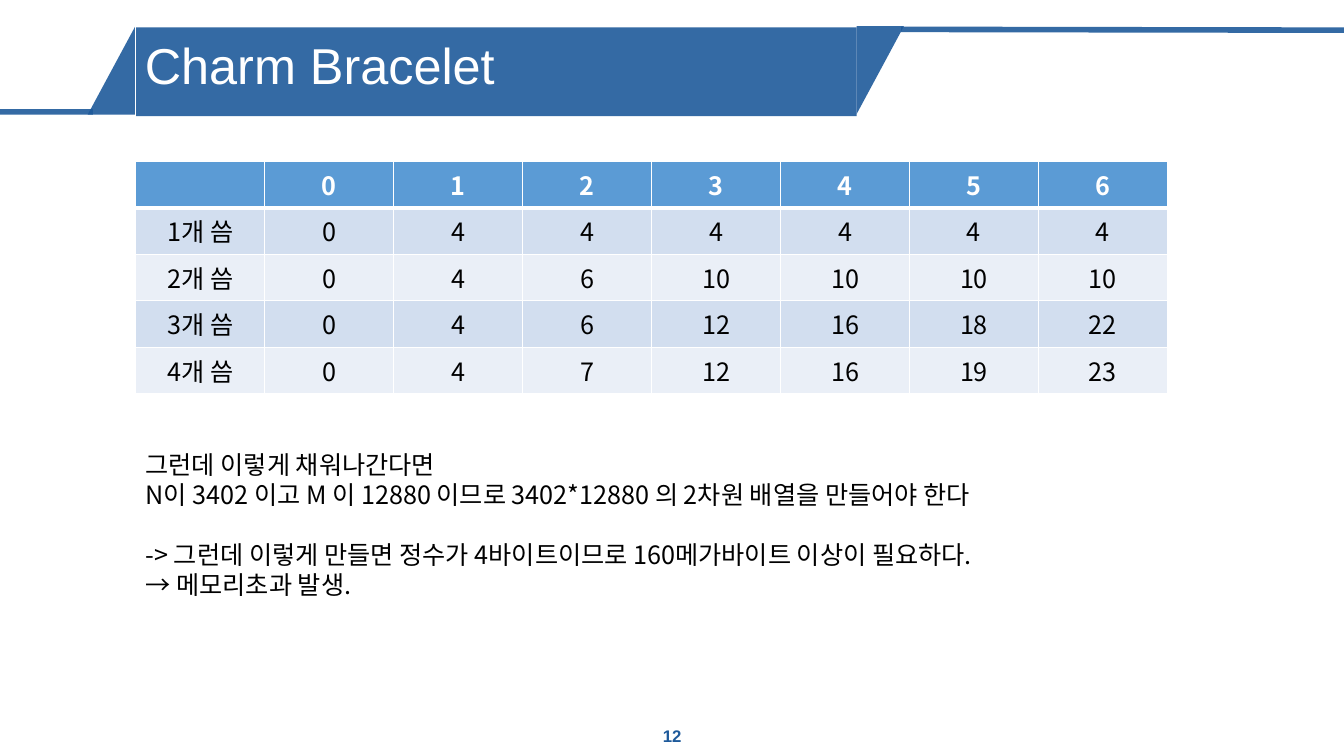
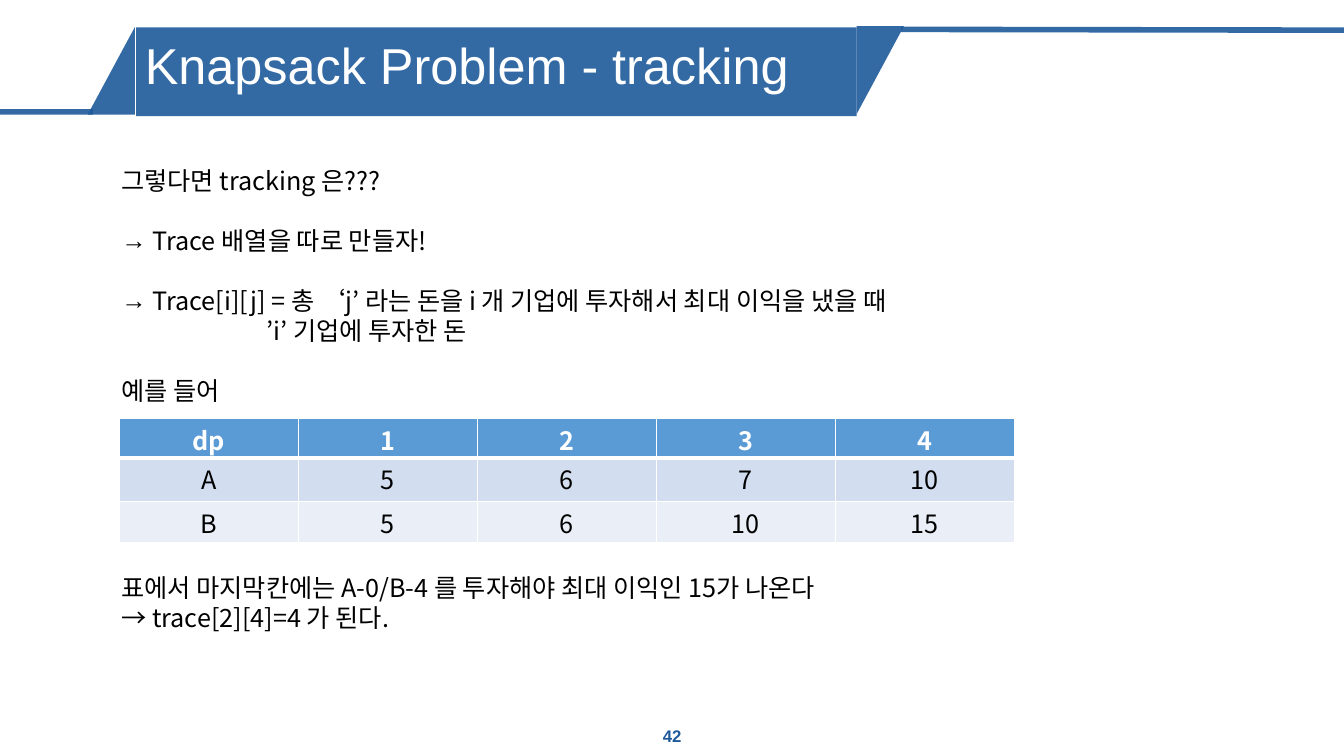
import dataclasses

import lxml.etree
import pptx
import pptx.dml.color
import pptx.enum.shapes
import pptx.enum.text
import pptx.oxml.ns
import pptx.util

Cm = pptx.util.Cm
Pt = pptx.util.Pt
RGBColor = pptx.dml.color.RGBColor
SHAPES = pptx.enum.shapes.MSO_SHAPE
ALIGN = pptx.enum.text.PP_ALIGN
ANCHOR = pptx.enum.text.MSO_ANCHOR

NAVY = RGBColor(0x1E, 0x5A, 0x9B)
HEADER_BLUE = RGBColor(0x5B, 0x9B, 0xD5)
BAND_DARK = RGBColor(0xD2, 0xDE, 0xEF)
BAND_LIGHT = RGBColor(0xEA, 0xEF, 0xF7)
WHITE = RGBColor(0xFF, 0xFF, 0xFF)
BLACK = RGBColor(0x00, 0x00, 0x00)

HEADING_FONT = "Arial"
BODY_FONT = "Noto Sans CJK KR"
LINE_PITCH = Pt(21.5)


@dataclasses.dataclass
class Line:
    text: str
    gap: bool = False
    indent: float = 0
    bullet: str = ""


def add_element(parent, tag, **attributes):
    return lxml.etree.SubElement(parent, pptx.oxml.ns.qn(tag), attributes)


class Deck:
    def __init__(self):
        self.presentation = pptx.Presentation()
        self.presentation.slide_width = Cm(33.87)
        self.presentation.slide_height = Cm(19.05)
        self.slide = None

    def start_slide(self, title, number):
        layout = self.presentation.slide_layouts[6]
        self.slide = self.presentation.slides.add_slide(layout)
        self.banner_shape(SHAPES.RIGHT_TRIANGLE, 21.08, 1.17, 2.21, 1.19, 90)
        self.banner_line(2.34, 2.82, -0.08, 2.82)
        self.banner_shape(SHAPES.RIGHT_TRIANGLE, 1.7, 1.19, 2.21, 1.19, 270)
        self.banner_line(33.87, 0.76, 22.71, 0.74)
        self.banner_shape(SHAPES.RECTANGLE, 3.43, 0.69, 18.16, 2.24)
        self.label(number, 13.13, 18.03, 7.62, 1.02, 12, NAVY, True, ALIGN.CENTER)
        heading = self.label(title, 3.4, 0.69, 18.16, 2.06, 36, WHITE)
        heading.line_spacing = 0.9

    def make_translucent(self, shape):
        for color in shape._element.spPr.iter(pptx.oxml.ns.qn("a:srgbClr")):
            add_element(color, "a:alpha", val="90000")

    def banner_shape(self, kind, left, top, width, height, rotation=0):
        shape = self.slide.shapes.add_shape(
            kind, Cm(left), Cm(top), Cm(width), Cm(height))
        shape.rotation = rotation
        shape.shadow.inherit = False
        shape.fill.solid()
        shape.fill.fore_color.rgb = NAVY
        shape.line.fill.background()
        self.make_translucent(shape)

    def banner_line(self, x1, y1, x2, y2):
        rule = self.slide.shapes.add_connector(
            pptx.enum.shapes.MSO_CONNECTOR.STRAIGHT,
            Cm(x1), Cm(y1), Cm(x2), Cm(y2))
        rule.line.color.rgb = NAVY
        rule.line.width = Pt(4)
        add_element(rule._element.spPr, "a:effectLst")
        self.make_translucent(rule)

    def text_frame(self, left, top, width, height):
        frame = self.slide.shapes.add_textbox(
            Cm(left), Cm(top), Cm(width), Cm(height)).text_frame
        frame.word_wrap = True
        return frame

    def style_runs(self, paragraph, font, size, color, bold=False):
        for run in paragraph.runs:
            run.font.name = font
            run.font.size = Pt(size)
            run.font.bold = bold
            run.font.color.rgb = color
            add_element(run._r.get_or_add_rPr(), "a:ea", typeface=font)

    def label(self, text, left, top, width, height, size, color,
              bold=False, align=ALIGN.LEFT):
        frame = self.text_frame(left, top, width, height)
        frame.vertical_anchor = ANCHOR.MIDDLE
        frame.text = text
        paragraph = frame.paragraphs[0]
        paragraph.alignment = align
        self.style_runs(paragraph, HEADING_FONT, size, color, bold)
        return paragraph

    def body(self, lines, left, top, width, height):
        frame = self.text_frame(left, top, width, height)
        for index, line in enumerate(lines):
            paragraph = frame.add_paragraph() if index else frame.paragraphs[0]
            paragraph.text = line.text
            properties = paragraph._p.get_or_add_pPr()
            if line.indent:
                properties.set("marL", str(Cm(line.indent)))
            if line.bullet:
                properties.set("indent", str(-Cm(line.indent)))
                add_element(properties, "a:buFont", typeface=HEADING_FONT)
                add_element(properties, "a:buChar", char=line.bullet)
            paragraph.line_spacing = LINE_PITCH
            if line.gap:
                paragraph.space_before = LINE_PITCH
            self.style_runs(paragraph, BODY_FONT, 18, BLACK)

    def cell_borders(self, cell, is_header, below_header):
        properties = cell._tc.get_or_add_tcPr()
        heavy = {"a:lnB": is_header, "a:lnT": below_header}
        for side in ("a:lnL", "a:lnR", "a:lnT", "a:lnB"):
            width = Pt(3) if heavy.get(side) else Pt(1)
            border = add_element(properties, side, w=str(width))
            fill = add_element(border, "a:solidFill")
            add_element(fill, "a:srgbClr", val=str(WHITE))

    def table(self, rows, left, top, column_width, row_heights,
              margin_top, margin_bottom):
        columns = len(rows[0])
        grid = self.slide.shapes.add_table(
            len(rows), columns, Cm(left), Cm(top),
            Cm(column_width * columns), Cm(sum(row_heights))).table
        for column in grid.columns:
            column.width = Cm(column_width)
        for r, values in enumerate(rows):
            grid.rows[r].height = Cm(row_heights[r])
            background = BAND_DARK if r % 2 else BAND_LIGHT
            for c, value in enumerate(values):
                cell = grid.cell(r, c)
                self.cell_borders(cell, r == 0, r == 1)
                cell.fill.solid()
                cell.fill.fore_color.rgb = background if r else HEADER_BLUE
                cell.margin_top = Cm(margin_top)
                cell.margin_bottom = Cm(margin_bottom)
                cell.text = str(value)
                paragraph = cell.text_frame.paragraphs[0]
                paragraph.alignment = ALIGN.CENTER
                self.style_runs(paragraph, BODY_FONT, 18,
                                BLACK if r else WHITE, r == 0)


def main():
    deck = Deck()

    deck.start_slide("Charm Bracelet", "12")
    charm_values = [
        ["", 0, 1, 2, 3, 4, 5, 6],
        ["1개 씀", 0, 4, 4, 4, 4, 4, 4],
        ["2개 씀", 0, 4, 6, 10, 10, 10, 10],
        ["3개 씀", 0, 4, 6, 12, 16, 18, 22],
        ["4개 씀", 0, 4, 7, 12, 16, 19, 23],
    ]
    deck.table(charm_values, 3.42, 4.07, 3.25, [1.17] * 5, 0.12, 0.12)
    memory_limit = [
        Line("그런데 이렇게 채워나간다면"),
        Line("N이 3402 이고 M 이 12880 이므로 3402*12880 의 2차원 배열을 만들어야 한다"),
        Line("-> 그런데 이렇게 만들면 정수가 4바이트이므로 160메가바이트 이상이 필요하다.",
             gap=True),
        Line("→ 메모리초과 발생."),
    ]
    deck.body(memory_limit, 3.42, 11.2, 25.96, 4.11)

    deck.start_slide("Knapsack Problem - tracking", "42")
    trace_definition = [
        Line("그렇다면 tracking 은???"),
        Line("Trace 배열을 따로 만들자!", gap=True, indent=0.79, bullet="→"),
        Line("Trace[i][j] = 총 ‘j’ 라는 돈을 i 개 기업에 투자해서 최대 이익을 냈을 때",
             gap=True, indent=0.79, bullet="→"),
        Line("’i’ 기업에 투자한 돈", indent=3.66),
        Line("예를 들어", gap=True),
    ]
    deck.body(trace_definition, 2.81, 4.04, 24.36, 7.19)
    investment_values = [
        ["dp", 1, 2, 3, 4],
        ["A", 5, 6, 7, 10],
        ["B", 5, 6, 10, 15],
    ]
    deck.table(investment_values, 3.01, 10.55, 4.51, [0.99, 1.1, 1.03], 0.07, 0)
    trace_result = [
        Line("표에서 마지막칸에는 A-0/B-4 를 투자해야 최대 이익인 15가 나온다"),
        Line("→ trace[2][4]=4 가 된다."),
    ]
    deck.body(trace_result, 2.81, 14.3, 21.23, 1.8)

    deck.presentation.save("out.pptx")


if __name__ == "__main__":
    main()
